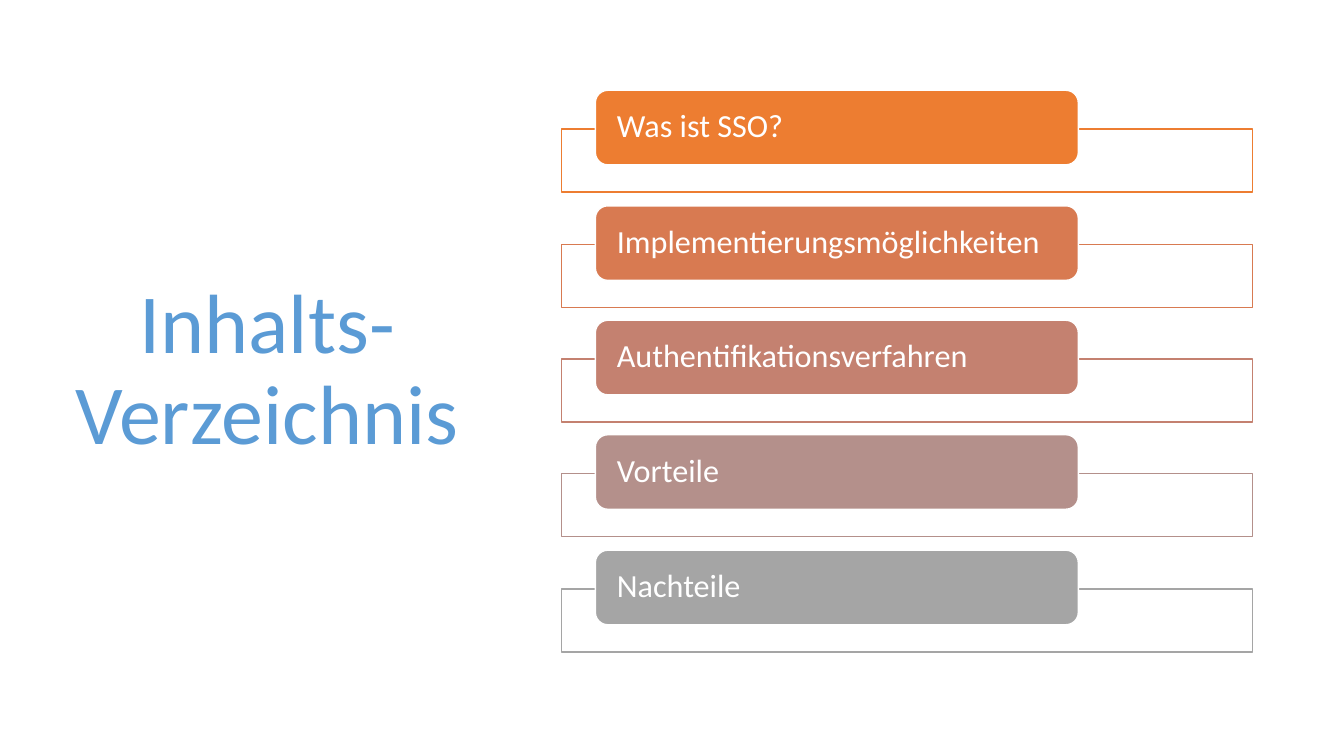
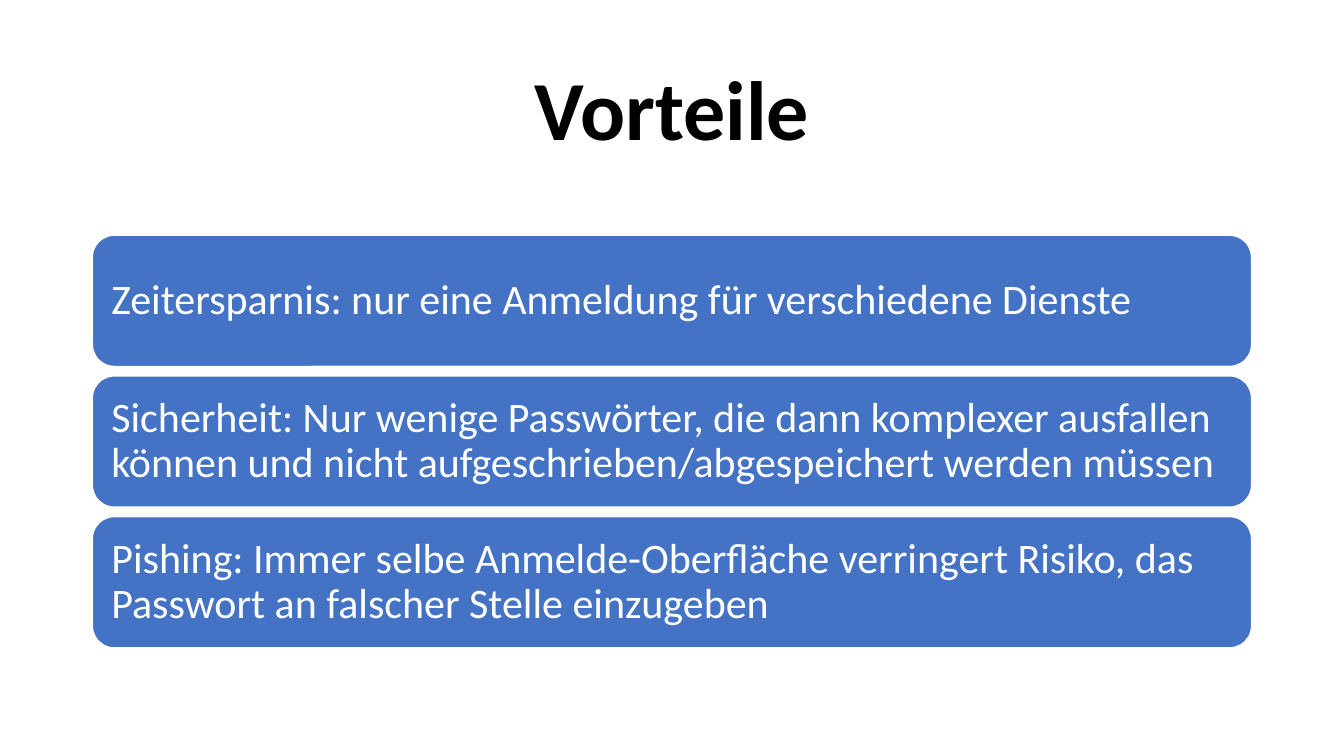
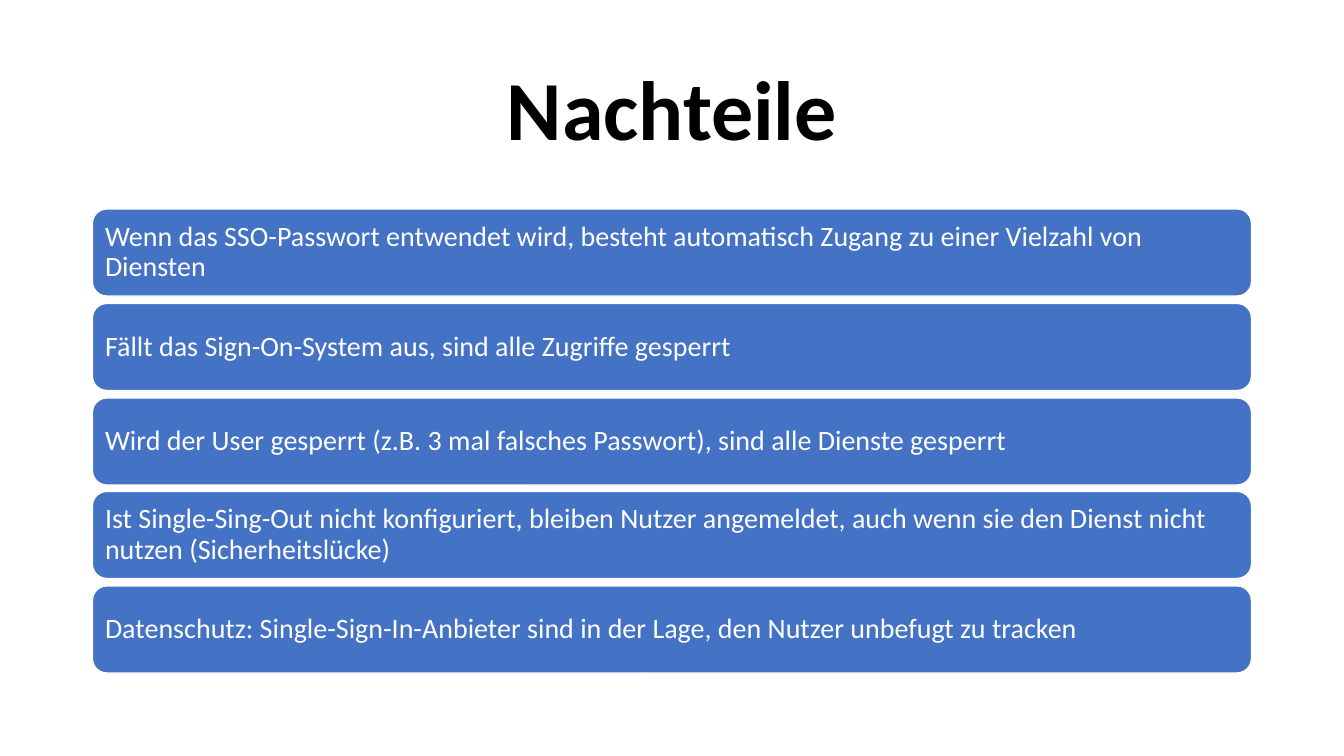
from dataclasses import dataclass

from lxml import etree
from pptx import Presentation
from pptx import util as u
from pptx.dml.color import RGBColor
from pptx.enum import shapes, text
from pptx.oxml import ns

PX = 9525  # EMU per px, 96 px to the inch


@dataclass(frozen=True)
class Theme:
    font: str = "Calibri"
    white: str = "FFFFFF"
    heading: str = "000000"
    contents_heading: str = "5B9BD5"
    card: str = "4472C4"
    title_size: int = 60
    topic_size: int = 23
    line_width: int = 1
    line_spacing: float = 0.9
    frame_opacity: int = 90


@dataclass(frozen=True)
class Box:
    left: int
    top: int
    width: int
    height: int

    def emu(self) -> tuple[int, int, int, int]:
        return self.left * PX, self.top * PX, self.width * PX, self.height * PX

    def moved_down(self, distance: int) -> "Box":
        return Box(self.left, self.top + distance, self.width, self.height)


@dataclass(frozen=True)
class Topic:
    label: str
    color: str


@dataclass(frozen=True)
class CardPage:
    heading: str
    first_card: Box
    span: int  # from the top of the first card to the top of the last
    size: int
    inset: int
    points: tuple[str, ...]


THEME = Theme()
CONTENTS_TITLE = Box(55, 65, 399, 578)
PAGE_TITLE = Box(88, 38, 1104, 139)
TOPIC_FRAME = Box(535, 123, 658, 60)
TOPIC_PILL = Box(567, 86, 460, 71)
TOPIC_SPAN = 438
TOPIC_INSET = 17

TOPICS = (
    Topic("Was ist SSO?", "ED7D31"),
    Topic("Implementierungsmöglichkeiten", "D87A51"),
    Topic("Authentifikationsverfahren", "C48170"),
    Topic("Vorteile", "B4908B"),
    Topic("Nachteile", "A5A5A5"),
)

CARD_PAGES = (
    CardPage("Vorteile", Box(88, 224, 1104, 125), 268, 30, 12, (
        "Zeitersparnis: nur eine Anmeldung für verschiedene Dienste",
        "Sicherheit: Nur wenige Passwörter, die dann komplexer ausfallen können "
        "und nicht aufgeschrieben/abgespeichert werden müssen",
        "Pishing: Immer selbe Anmelde-Oberfläche verringert Risiko, "
        "das Passwort an falscher Stelle einzugeben",
    )),
    CardPage("Nachteile", Box(88, 199, 1104, 83), 359, 20, 8, (
        "Wenn das SSO-Passwort entwendet wird, besteht automatisch Zugang "
        "zu einer Vielzahl von Diensten",
        "Fällt das Sign-On-System aus, sind alle Zugriffe gesperrt",
        "Wird der User gesperrt (z.B. 3 mal falsches Passwort), "
        "sind alle Dienste gesperrt",
        "Ist Single-Sing-Out nicht konfiguriert, bleiben Nutzer angemeldet, "
        "auch wenn sie den Dienst nicht nutzen (Sicherheitslücke)",
        "Datenschutz: Single-Sign-In-Anbieter sind in der Lage, "
        "den Nutzer unbefugt zu tracken",
    )),
)


def even_offsets(count: int, span: int) -> list[int]:
    return [round(index * span / (count - 1)) for index in range(count)]


def write(shape, wording: str, size: int, color: str, align, bold: bool = False) -> None:
    frame = shape.text_frame
    frame.word_wrap = True
    frame.vertical_anchor = text.MSO_ANCHOR.MIDDLE
    paragraph = frame.paragraphs[0]
    paragraph.alignment = align
    paragraph.line_spacing = THEME.line_spacing
    run = paragraph.add_run()
    run.text = wording
    run.font.name = THEME.font
    run.font.size = u.Pt(size)
    run.font.bold = bold
    run.font.color.rgb = RGBColor.from_string(color)


def add_title(slide, box: Box, wording: str, color: str, bold: bool) -> None:
    title = slide.shapes.add_textbox(*box.emu())
    write(title, wording, THEME.title_size, color, text.PP_ALIGN.CENTER, bold)


def add_panel(slide, preset, box: Box, fill: str, line: str):
    panel = slide.shapes.add_shape(preset, *box.emu())
    panel.shadow.inherit = False
    panel.fill.solid()
    panel.fill.fore_color.rgb = RGBColor.from_string(fill)
    panel.line.color.rgb = RGBColor.from_string(line)
    panel.line.width = u.Pt(THEME.line_width)
    return panel


def set_opacity(panel, percent: int) -> None:
    color = panel.fill._xPr.find(ns.qn("a:solidFill"))[0]
    etree.SubElement(color, ns.qn("a:alpha"), val=str(percent * 1000))


def add_card(slide, box: Box, wording: str, fill: str, size: int,
             side_inset: int, end_inset: int) -> None:
    card = add_panel(slide, shapes.MSO_SHAPE.ROUNDED_RECTANGLE, box, fill, THEME.white)
    frame = card.text_frame
    frame.margin_left = frame.margin_right = side_inset * PX
    frame.margin_top = frame.margin_bottom = end_inset * PX
    write(card, wording, size, THEME.white, text.PP_ALIGN.LEFT)


def draw_contents(slide) -> None:
    add_title(slide, CONTENTS_TITLE, "Inhalts-Verzeichnis", THEME.contents_heading, False)
    for topic, offset in zip(TOPICS, even_offsets(len(TOPICS), TOPIC_SPAN)):
        frame = add_panel(slide, shapes.MSO_SHAPE.RECTANGLE,
                          TOPIC_FRAME.moved_down(offset), THEME.white, topic.color)
        set_opacity(frame, THEME.frame_opacity)
        add_card(slide, TOPIC_PILL.moved_down(offset), topic.label, topic.color,
                 THEME.topic_size, TOPIC_INSET, 0)


def draw_cards(slide, page: CardPage) -> None:
    add_title(slide, PAGE_TITLE, page.heading, THEME.heading, True)
    for point, offset in zip(page.points, even_offsets(len(page.points), page.span)):
        add_card(slide, page.first_card.moved_down(offset), point, THEME.card,
                 page.size, page.inset, page.inset)


def main() -> None:
    deck = Presentation()
    deck.slide_width, deck.slide_height = 1280 * PX, 720 * PX
    blank = deck.slide_layouts[6]
    draw_contents(deck.slides.add_slide(blank))
    for page in CARD_PAGES:
        draw_cards(deck.slides.add_slide(blank), page)
    deck.save("out.pptx")


if __name__ == "__main__":
    main()
